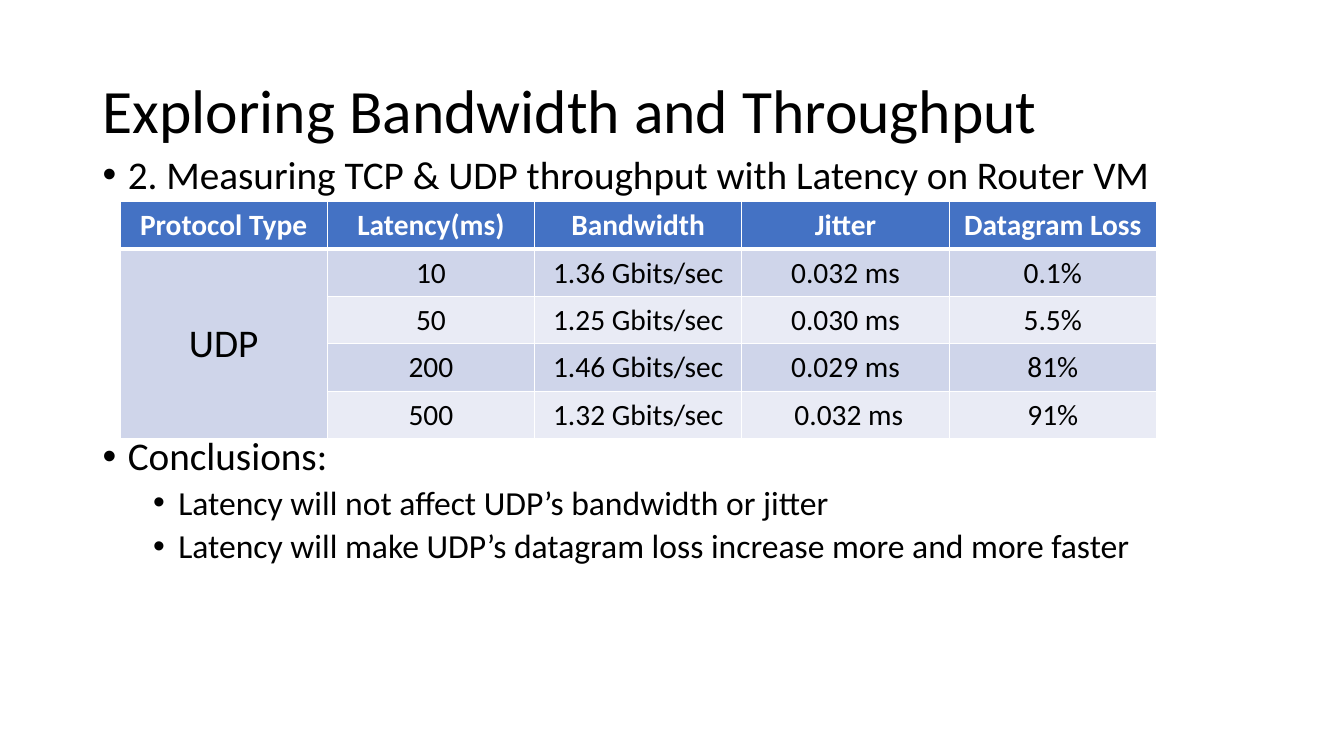
from lxml import etree
from pptx import Presentation
from pptx.dml.color import RGBColor
from pptx.enum.text import MSO_ANCHOR, PP_ALIGN
from pptx.oxml.ns import qn
from pptx.util import Inches, Pt

MIDDLE, TOP = MSO_ANCHOR.MIDDLE, MSO_ANCHOR.TOP
CENTER = PP_ALIGN.CENTER
FONT = "Calibri"
COLORS = {"text": "000000", "white": "FFFFFF", "header": "4472C4",
          "odd": "CFD5EA", "even": "E9EBF5"}

TITLE = "Exploring Bandwidth and Throughput"
BULLETS = [
    ("2. Measuring TCP & UDP throughput with Latency on Router VM", 28, 0, 10),
    ("Conclusions:", 28, 0, 171),
    ("Latency will not affect UDP’s bandwidth or jitter", 24, 1, 5),
    ("Latency will make UDP’s datagram loss increase more and more faster", 24, 1, 5),
]
HEADERS = ["Protocol Type", "Latency(ms)", "Bandwidth", "Jitter", "Datagram Loss"]
PROTOCOL = "UDP"
MEASUREMENTS = [
    ("10", "1.36 Gbits/sec", "0.032 ms", "0.1%"),
    ("50", "1.25 Gbits/sec", "0.030 ms", "5.5%"),
    ("200", "1.46 Gbits/sec", "0.029 ms", "81%"),
    ("500", "1.32 Gbits/sec", " 0.032 ms", "91%"),
]


def write(paragraph, text, size, color="text", bold=False):
    paragraph.text = text
    font = paragraph.font
    font.name, font.size, font.bold = FONT, Pt(size), bold
    font.color.rgb = RGBColor.from_string(COLORS[color])


def add_text_frame(slide, left, top, width, height, anchor):
    box = slide.shapes.add_textbox(Inches(left), Inches(top), Inches(width), Inches(height))
    frame = box.text_frame
    frame.word_wrap = True
    frame.vertical_anchor = anchor
    return frame


def add_bullet(paragraph, level):
    paragraph.level = level
    properties = paragraph._p.get_or_add_pPr()
    properties.set("marL", str(Inches(0.25 + 0.5 * level)))
    properties.set("indent", str(Inches(-0.25)))
    etree.SubElement(properties, qn("a:buFont"), typeface="Arial")
    etree.SubElement(properties, qn("a:buChar"), char="•")


def add_borders(cell, bottom_width):
    properties = cell._tc.get_or_add_tcPr()
    widths = {"a:lnL": 1, "a:lnR": 1, "a:lnT": 1, "a:lnB": bottom_width}
    for position, (tag, width) in enumerate(widths.items()):
        line = etree.Element(qn(tag), w=str(Pt(width)))
        fill = etree.SubElement(line, qn("a:solidFill"))
        etree.SubElement(fill, qn("a:srgbClr"), val=COLORS["white"])
        properties.insert(position, line)


presentation = Presentation()
presentation.slide_width, presentation.slide_height = Inches(13.33), Inches(7.5)
slide = presentation.slides.add_slide(presentation.slide_layouts[6])

title = add_text_frame(slide, 0.92, 0.4, 11.5, 1.45, MIDDLE).paragraphs[0]
write(title, TITLE, 44)
title.line_spacing = 0.9

body = add_text_frame(slide, 0.92, 1.49, 11.5, 4.76, TOP)
for index, (text, size, level, space) in enumerate(BULLETS):
    paragraph = body.add_paragraph() if index else body.paragraphs[0]
    write(paragraph, text, size)
    paragraph.line_spacing = 0.9
    paragraph.space_before = Pt(space)
    add_bullet(paragraph, level)

rows = [HEADERS] + [("" if index else PROTOCOL, *values)
                    for index, values in enumerate(MEASUREMENTS)]
table = slide.shapes.add_table(len(rows), len(HEADERS), Inches(1.19), Inches(2),
                               Inches(10.28), Inches(2.34)).table
for row_index, row in enumerate(rows):
    header = row_index == 0
    for column_index, text in enumerate(row):
        cell = table.cell(row_index, column_index)
        protocol = column_index == 0 and not header
        fill = "header" if header else "odd" if protocol or row_index % 2 else "even"
        cell.fill.solid()
        cell.fill.fore_color.rgb = RGBColor.from_string(COLORS[fill])
        cell.margin_left = cell.margin_right = Inches(0.12)
        cell.margin_top = cell.margin_bottom = Inches(0.06)
        cell.vertical_anchor = TOP if header else MIDDLE
        paragraph = cell.text_frame.paragraphs[0]
        write(paragraph, text, 28 if protocol else 21, "white" if header else "text", header)
        paragraph.alignment = CENTER
        add_borders(cell, 3 if header else 1)
table.cell(1, 0).merge(table.cell(len(MEASUREMENTS), 0))

presentation.save("out.pptx")
